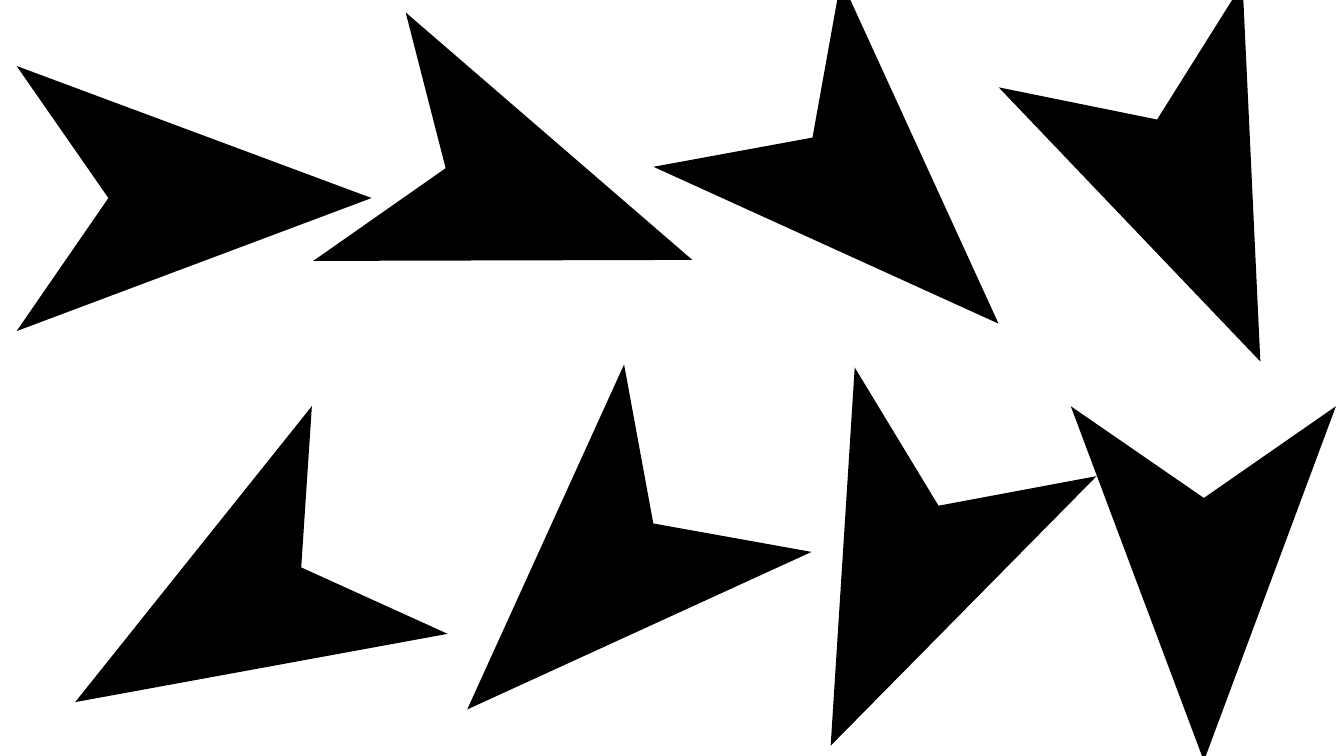
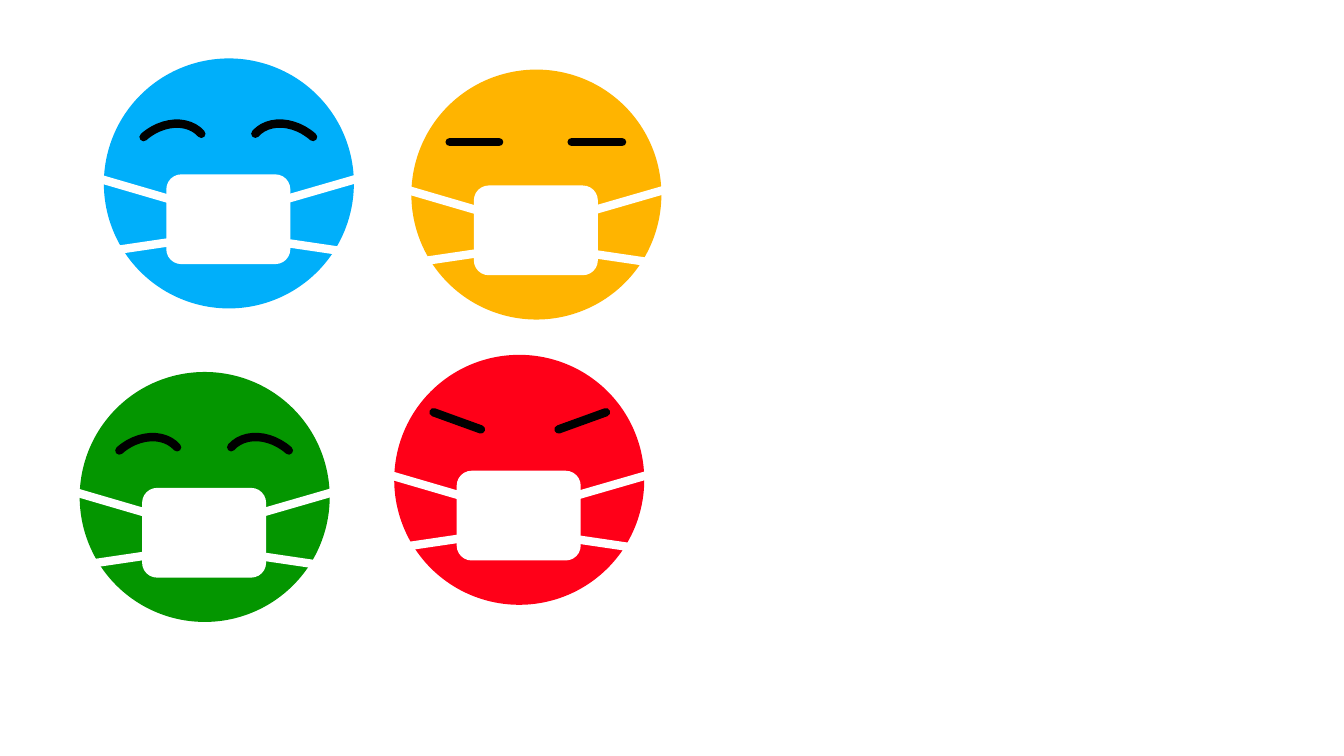
from lxml.etree import SubElement
from pptx import Presentation
from pptx.dml.color import RGBColor
from pptx.enum.shapes import MSO_CONNECTOR, MSO_SHAPE
from pptx.oxml.ns import qn
from pptx.util import Pt

EMU_PER_PX = 9144
BLANK_LAYOUT = 6
COLORS = {
    "ink": "000000",
    "white": "FFFFFF",
    "blue": "00AFFA",
    "green": "049600",
    "amber": "FFB400",
    "red": "FF0018",
}
ARROW_W, ARROW_H, ARROW_NOTCH = 263, 352, 261
ARROWS = [
    (61, 21, 90),
    (1062, 403, 180),
    (764, 403, 204.2),
    (390, 21, 110.4),
    (1049, 21, 156.9),
    (734, 21, 135),
    (94, 430, 239.2),
    (456, 403, 225),
]
HEAD = 248
STRAPS = [
    (176, 141, 266, 115),
    (174, 182, 262, 195),
    (70, 141, -19, 115),
    (67, 182, -21, 195),
]
FLAT_EYES = [(38, 72, 87, 72), (159, 72, 209, 72)]
ANGRY_EYES = [(39, 57, 86, 74), (210, 57, 163, 74)]
SMILING_EYES = [(18, -41.5, 270, 0), (139, 41.5, 180, 270)]
FACES = [
    (103, 58, "blue", None),
    (79, 369, "green", None),
    (408, 69, "amber", FLAT_EYES),
    (391, 352, "red", ANGRY_EYES),
]


def px(n):
    return n * EMU_PER_PX


class Deck:
    def __init__(self, width, height):
        self.prs = Presentation()
        self.prs.slide_width = px(width)
        self.prs.slide_height = px(height)
        self.s = None

    def slide(self):
        self.s = self.prs.slides.add_slide(self.prs.slide_layouts[BLANK_LAYOUT])

    def color(self, name):
        return RGBColor.from_string(COLORS[name])

    def fill(self, sp, color):
        sp.shadow.inherit = False
        sp.fill.solid()
        sp.fill.fore_color.rgb = self.color(color)
        sp.line.fill.background()

    def stroke(self, sp, color, rounded):
        sp.line.width = Pt(6)
        sp.line.color.rgb = self.color(color)
        if rounded:
            sp.element.spPr.find(qn("a:ln")).set("cap", "rnd")

    def shape(self, shapes, kind, x, y, w, h, color):
        sp = shapes.add_shape(kind, px(x), px(y), px(w), px(h))
        self.fill(sp, color)

    def line(self, shapes, x1, y1, x2, y2, color, rounded=False):
        cxn = shapes.add_connector(
            MSO_CONNECTOR.STRAIGHT, px(x1), px(y1), px(x2), px(y2))
        self.stroke(cxn, color, rounded)
        SubElement(cxn.element.spPr, qn("a:effectLst"))

    def arc(self, shapes, x, y, w, h, rotation, start, end):
        sp = shapes.add_shape(MSO_SHAPE.ARC, px(x), px(y), px(w), px(h))
        for i, degrees in enumerate((start, end)):
            sp.adjustments[i] = degrees * 0.6
        sp.rotation = rotation
        sp.shadow.inherit = False
        sp.fill.background()
        self.stroke(sp, "ink", True)

    def arrow(self, x, y, rotation):
        mid = x + ARROW_W // 2
        fb = self.s.shapes.build_freeform(mid, y, scale=EMU_PER_PX)
        fb.add_line_segments([
            (x + ARROW_W, y + ARROW_H),
            (mid, y + ARROW_NOTCH),
            (x, y + ARROW_H),
        ])
        sp = fb.convert_to_shape()
        sp.rotation = rotation
        self.fill(sp, "ink")

    def face(self, x, y, color, eyes):
        shapes = self.s.shapes.add_group_shape().shapes
        self.shape(shapes, MSO_SHAPE.OVAL, x, y, HEAD, HEAD, color)
        self.shape(shapes, MSO_SHAPE.ROUNDED_RECTANGLE,
                   x + 62, y + 115, 123, 89, "white")
        for x1, y1, x2, y2 in STRAPS:
            self.line(shapes, x + x1, y + y1, x + x2, y + y2, "white")
        if eyes:
            for x1, y1, x2, y2 in eyes:
                self.line(shapes, x + x1, y + y1, x + x2, y + y2, "ink", True)
        else:
            for dx, rotation, start, end in SMILING_EYES:
                self.arc(shapes, x + dx, y + 69, 90, 71, rotation, start, end)


def main():
    deck = Deck(1333, 750)
    deck.slide()
    for arrow in ARROWS:
        deck.arrow(*arrow)
    deck.slide()
    for face in FACES:
        deck.face(*face)
    deck.prs.save("out.pptx")


if __name__ == "__main__":
    main()
